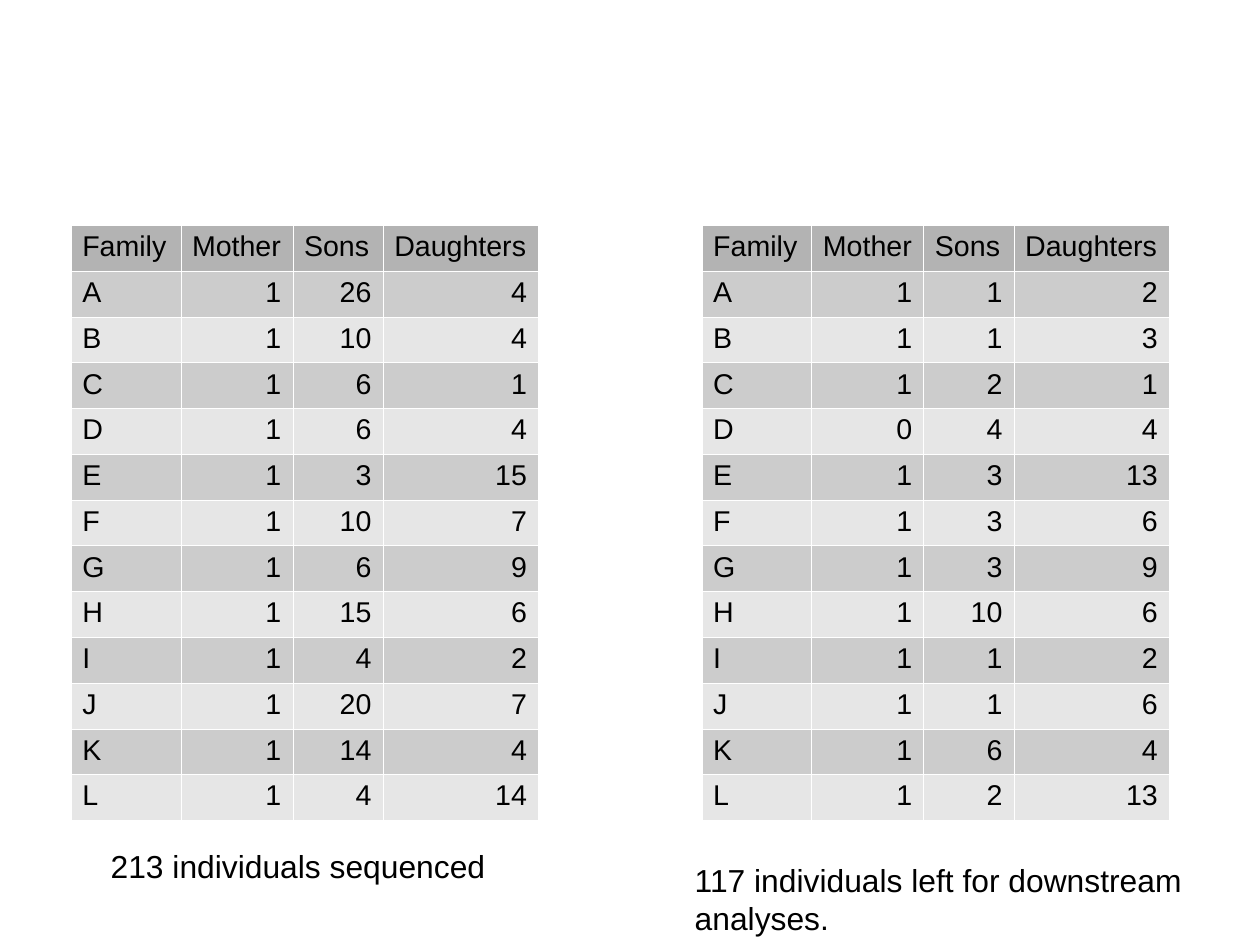
from lxml import etree
from pptx import Presentation
from pptx.dml.color import RGBColor
from pptx.enum.text import MSO_AUTO_SIZE as AutoSize, PP_ALIGN as Align
from pptx.oxml.ns import qn
from pptx.util import Cm, Inches, Pt

COLORS = {"text": "000000", "header": "B3B3B3", "odd": "CCCCCC", "even": "E6E6E6", "border": "FFFFFF"}
HEADINGS = ["Family", "Mother", "Sons", "Daughters"]
COLUMN_WIDTHS = [0.96, 0.98, 0.79, 1.36]
ROW_HEIGHT = 0.4
FAMILIES = "ABCDEFGHIJKL"

# Each panel: table left, caption left and top, caption, then counts per family
PANELS = [
    (6.14, 5.98, 7.48, "117 individuals left for downstream analyses.",
     [1, 1, 1, 0, 1, 1, 1, 1, 1, 1, 1, 1],
     [1, 1, 2, 4, 3, 3, 3, 10, 1, 1, 6, 2],
     [2, 3, 1, 4, 13, 6, 9, 6, 2, 6, 4, 13]),
    (0.62, 0.87, 7.36, "213 individuals sequenced",
     [1] * 12,
     [26, 10, 6, 6, 3, 10, 6, 15, 4, 20, 14, 4],
     [4, 4, 1, 4, 15, 7, 9, 6, 2, 7, 4, 14]),
]


def style_font(para, size):
    para.font.name = "Arial"
    para.font.size = Pt(size)
    para.font.bold = False
    para.font.color.rgb = RGBColor.from_string(COLORS["text"])


def add_borders(cell):
    properties = cell._tc.get_or_add_tcPr()
    for side in ("a:lnL", "a:lnR", "a:lnT", "a:lnB"):
        line = etree.SubElement(properties, qn(side), w=str(Pt(0.06)))
        fill = etree.SubElement(line, qn("a:solidFill"))
        etree.SubElement(fill, qn("a:srgbClr"), val=COLORS["border"])


deck = Presentation()
deck.slide_width = Cm(28)
deck.slide_height = Cm(21)
page = deck.slides.add_slide(deck.slide_layouts[6])

for table_left, caption_left, caption_top, caption, mothers, sons, daughters in PANELS:
    box = page.shapes.add_textbox(Inches(caption_left), Inches(caption_top), Inches(4.96), Inches(1.1))
    box.text_frame.word_wrap = True
    box.text_frame.auto_size = AutoSize.SHAPE_TO_FIT_TEXT
    para = box.text_frame.paragraphs[0]
    para.text = caption
    style_font(para, 20)

    rows = [HEADINGS, *zip(FAMILIES, mothers, sons, daughters)]
    table = page.shapes.add_table(
        len(rows), len(HEADINGS), Inches(table_left), Inches(1.97),
        Inches(sum(COLUMN_WIDTHS)), Inches(ROW_HEIGHT * len(rows))).table
    table.first_row = True
    table.horz_banding = False
    for column, width in zip(table.columns, COLUMN_WIDTHS):
        column.width = Inches(width)
    for row_index, values in enumerate(rows):
        table.rows[row_index].height = Inches(ROW_HEIGHT)
        band = "header" if row_index == 0 else "odd" if row_index % 2 else "even"
        for column_index, value in enumerate(values):
            cell = table.cell(row_index, column_index)
            add_borders(cell)
            cell.fill.solid()
            cell.fill.fore_color.rgb = RGBColor.from_string(COLORS[band])
            para = cell.text_frame.paragraphs[0]
            para.text = str(value)
            para.alignment = Align.RIGHT if row_index and column_index else Align.LEFT
            style_font(para, 18)

deck.save("out.pptx")
